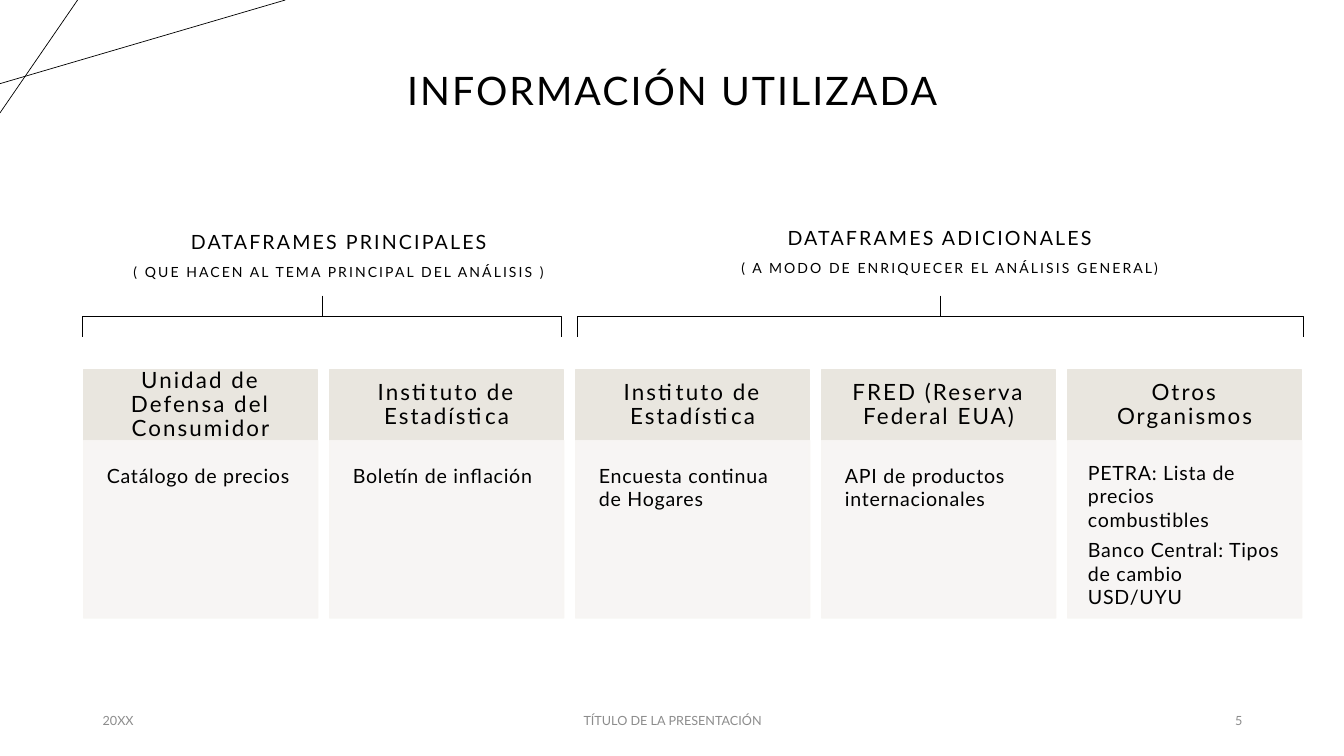
import lxml.etree
import pptx
import pptx.util
import pptx.oxml.ns
import pptx.dml.color
import pptx.enum.shapes
import pptx.enum.text

Inches = pptx.util.Inches
Pt = pptx.util.Pt
Align = pptx.enum.text.PP_ALIGN
Anchor = pptx.enum.text.MSO_ANCHOR
Shape = pptx.enum.shapes.MSO_SHAPE
qn = pptx.oxml.ns.qn

BLACK, GREY = "000000", "8C8C8C"
HEADER_FILL, BODY_FILL = "E9E6DF", "F7F5F3"


def color(value):
    return pptx.dml.color.RGBColor.from_string(value)


def write(sp, text, size=14, fill=BLACK, align=Align.LEFT, anchor=Anchor.MIDDLE,
          spacing=0, leading=None, after=0, inset=(0.1, 0.05)):
    """Put text in a shape, one paragraph for each line of the string."""
    tf = sp.text_frame
    tf.word_wrap = True
    tf.vertical_anchor = anchor
    tf.margin_left = tf.margin_right = Inches(inset[0])
    tf.margin_top = tf.margin_bottom = Inches(inset[1])
    for i, line in enumerate(text.split("\n")):
        p = tf.paragraphs[0] if i == 0 else tf.add_paragraph()
        p.alignment = align
        p.space_after = Pt(after)
        if leading:
            p.line_spacing = leading
        r = p.add_run()
        r.text = line
        r.font.name = "Lato"
        r.font.size = Pt(size)
        r.font.color.rgb = color(fill)
        if spacing:
            r._r.get_or_add_rPr().set("spc", str(int(spacing * 100)))


class SlideBuilder:
    font_heading = dict(align=Align.CENTER, spacing=1.5, leading=0.9)

    def __init__(self, slide):
        self.s = slide

    def text(self, x, y, w, h, text, **fmt):
        sp = self.s.shapes.add_textbox(Inches(x), Inches(y), Inches(w), Inches(h))
        write(sp, text, **fmt)

    def heading(self, x, y, w, h, text, size):
        self.text(x, y, w, h, text, size=size, **self.font_heading)

    def line(self, x1, y1, x2, y2):
        c = self.s.shapes.add_connector(pptx.enum.shapes.MSO_CONNECTOR.STRAIGHT,
                                        Inches(x1), Inches(y1), Inches(x2), Inches(y2))
        c.line.color.rgb = color(BLACK)
        c.line.width = Pt(0.5)
        lxml.etree.SubElement(c._element.spPr, qn("a:effectLst"))

    def box(self, x, y, w, h, fill, text, alpha=None, **fmt):
        sp = self.s.shapes.add_shape(Shape.RECTANGLE, Inches(x), Inches(y), Inches(w), Inches(h))
        sp.shadow.inherit = False
        sp.fill.solid()
        sp.fill.fore_color.rgb = sp.line.color.rgb = color(fill)
        sp.line.width = Pt(1)
        if alpha:
            for clr in list(sp._element.spPr.iter(qn("a:srgbClr"))):
                lxml.etree.SubElement(clr, qn("a:alpha")).set("val", str(alpha * 1000))
        write(sp, text, **fmt)

    def bracket(self, x, y, w, h):
        """Square bracket opening downwards: a left brace turned by 90 degrees."""
        sp = self.s.shapes.add_shape(Shape.LEFT_BRACE, Inches(x + (w - h) / 2),
                                     Inches(y - (w - h) / 2), Inches(h), Inches(w))
        sp.rotation = 90
        sp.adjustments[0] = 0
        sp.adjustments[1] = 0.5
        sp.shadow.inherit = False
        sp.fill.background()
        sp.line.color.rgb = color(BLACK)
        sp.line.width = Pt(0.5)


def main():
    prs = pptx.Presentation()
    prs.slide_width, prs.slide_height = Inches(13.33), Inches(7.5)
    s = SlideBuilder(prs.slides.add_slide(prs.slide_layouts[6]))

    # Corner lines and title
    s.line(0, 0.83, 2.83, 0)
    s.line(0.77, 0, 0, 1.12)
    s.heading(0.92, 0.4, 11.5, 1.04, "INFORMACIÓN UTILIZADA", 28)

    # Source cards: header, content, inset of the content
    cards = [
        ("Unidad de Defensa del Consumidor", "Catálogo de precios", 0.23),
        ("Instituto de Estadística", "Boletín de inflación", 0.23),
        ("Instituto de Estadística", "Encuesta continua de Hogares", 0.23),
        ("FRED (Reserva Federal EUA)", "API de productos internacionales", 0.23),
        ("Otros Organismos", "PETRA: Lista de precios combustibles\n"
                             "Banco Central: Tipos de cambio USD/UYU", 0.2),
    ]
    for i, (header, content, inset) in enumerate(cards):
        x = 0.83 + 2.44 * i
        s.box(x, 3.67, 2.32, 0.7, HEADER_FILL, header, size=16,
              inset=(0.18, 0.18), **s.font_heading)
        s.box(x, 4.37, 2.32, 1.76, BODY_FILL, content, alpha=90, size=14,
              anchor=Anchor.TOP, spacing=0.5, after=4.9, inset=(inset, inset))

    # Footer
    footer = [
        (0.92, 3, "20XX", Align.LEFT),
        (4.42, 4.5, "TÍTULO DE LA PRESENTACIÓN", Align.CENTER),
        (9.42, 3, "5", Align.RIGHT),
    ]
    for x, w, text, align in footer:
        s.text(x, 6.95, w, 0.4, text, size=9, fill=GREY, align=align)

    # Group brackets
    s.bracket(0.82, 2.94, 4.75, 0.4)
    s.bracket(5.73, 2.94, 7.2, 0.4)

    # Group headings
    headings = [
        (1.15, 2.16, "DATAFRAMES PRINCIPALES", 14),
        (7.11, 2.12, "DATAFRAMES ADICIONALES", 14),
        (7.21, 2.41, "( A MODO DE ENRIQUECER EL ANÁLISIS GENERAL)", 10),
        (1.15, 2.45, "( QUE HACEN AL TEMA PRINCIPAL DEL ANÁLISIS )", 10),
    ]
    for x, y, text, size in headings:
        s.heading(x, y, 4.42, 0.51, text, size)

    prs.save("out.pptx")


if __name__ == "__main__":
    main()
